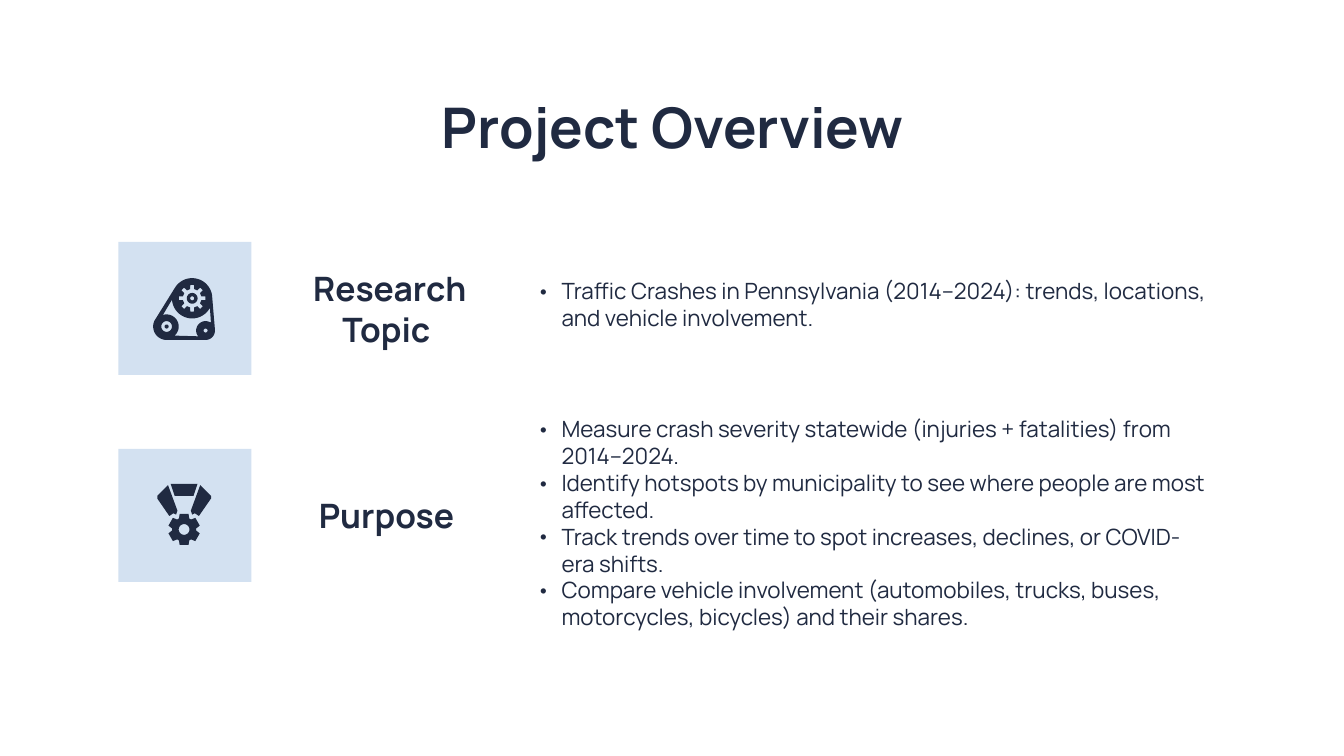
from dataclasses import dataclass
from math import cos, radians, sin

from lxml.etree import SubElement
from pptx import Presentation
from pptx.dml.color import RGBColor
from pptx.enum.shapes import MSO_SHAPE
from pptx.enum.text import MSO_ANCHOR, PP_ALIGN
from pptx.oxml.ns import qn
from pptx.util import Inches, Pt


@dataclass(frozen=True)
class Theme:
    font: str = "Manrope"
    ink: RGBColor = RGBColor(0x20, 0x2A, 0x41)
    tile: RGBColor = RGBColor(0xD3, 0xE1, 0xF1)
    title_size: int = 30
    heading_size: int = 18
    body_size: int = 12


def arc(x, y, radius, start=0, end=360, steps=32):
    angles = [radians(start + (end - start) * i / steps) for i in range(steps + 1)]
    return [(x + radius * cos(a), y + radius * sin(a)) for a in angles]


def gear(x, y, outer, root, teeth, tip_angle, root_angle):
    points = []
    for tooth in range(teeth):
        middle = 360 * tooth / teeth - 90
        for radius, offset in ((root, -root_angle), (outer, -tip_angle),
                               (outer, tip_angle), (root, root_angle)):
            angle = radians(middle + offset)
            points.append((x + radius * cos(angle), y + radius * sin(angle)))
    return points


class SlideWriter:
    def __init__(self, page, theme):
        self.page = page
        self.theme = theme

    def paint(self, shape, color):
        shape.shadow.inherit = False
        shape.fill.solid()
        shape.fill.fore_color.rgb = color
        shape.line.fill.background()

    def tile(self, left, top, size):
        shape = self.page.shapes.add_shape(
            MSO_SHAPE.RECTANGLE, Inches(left), Inches(top), Inches(size), Inches(size))
        self.paint(shape, self.theme.tile)

    def text(self, lines, left, top, width, height, size,
             bold=False, anchor=MSO_ANCHOR.MIDDLE, bullets=False):
        box = self.page.shapes.add_textbox(
            Inches(left), Inches(top), Inches(width), Inches(height))
        frame = box.text_frame
        frame.word_wrap = True
        frame.vertical_anchor = anchor
        frame.margin_left = frame.margin_right = Inches(0.1)
        frame.margin_top = frame.margin_bottom = Inches(0.1)
        frame.text = "\n".join(lines)
        for para in frame.paragraphs:
            if bullets:
                self.bullet(para)
            para.alignment = PP_ALIGN.LEFT if bullets else PP_ALIGN.CENTER
            para.font.name = self.theme.font
            para.font.size = Pt(size)
            para.font.bold = bold
            para.font.color.rgb = self.theme.ink

    def bullet(self, para):
        properties = para._p.get_or_add_pPr()
        properties.set("marL", str(Inches(0.19)))
        properties.set("indent", str(-Inches(0.19)))
        color = SubElement(properties, qn("a:buClr"))
        SubElement(color, qn("a:srgbClr")).set("val", str(self.theme.ink))
        SubElement(properties, qn("a:buFont")).set("typeface", self.theme.font)
        SubElement(properties, qn("a:buChar")).set("char", "•")

    def icon(self, parts):
        group = self.page.shapes.add_group_shape()
        for contours in parts:
            outlines = [[(Inches(x), Inches(y)) for x, y in contour] for contour in contours]
            builder = group.shapes.build_freeform(*outlines[0][0])
            builder.add_line_segments(outlines[0][1:], close=True)
            for outline in outlines[1:]:
                builder.move_to(*outline[0])
                builder.add_line_segments(outline[1:], close=True)
            self.paint(builder.convert_to_shape(), self.theme.ink)


def belt_icon():
    top, left, right = (1.43, 2.22), (1.24, 2.43), (1.53, 2.46)
    belt = arc(*top, 0.15, 212, 352) + arc(*right, 0.07, -5, 90) + arc(*left, 0.1, 90, 205)
    gap = (arc(*top, 0.15, 176, 28) + [(1.57, 2.4)]
           + arc(*right, 0.07, -75, -218) + arc(*left, 0.09, 49, -108))
    body = [belt, gap, gear(*top, 0.1, 0.07, 8, 8, 12), arc(*left, 0.04), arc(*right, 0.015)]
    return [body, [arc(*top, 0.04), arc(*top, 0.015)], [arc(*left, 0.015)]]


def medal_icon():
    middle = 1.37
    ribbon = [(1.25, 3.61), (1.17, 3.69), (1.17, 3.71), (1.26, 3.84), (1.29, 3.82),
              (1.31, 3.83), (1.32, 3.8)]
    mirrored = [(2 * middle - x, y) for x, y in ribbon]
    bar = [(1.27, 3.6), (1.3, 3.69), (1.44, 3.69), (1.47, 3.6)]
    wheel = [gear(middle, 3.94, 0.12, 0.09, 6, 16, 25), arc(middle, 3.94, 0.04)]
    return [[ribbon], [mirrored], [bar], wheel]


def main():
    deck = Presentation()
    deck.slide_width = Inches(10)
    deck.slide_height = Inches(10 * 9 / 16)
    theme = Theme()
    writer = SlideWriter(deck.slides.add_slide(deck.slide_layouts[6]), theme)

    writer.text(["Project Overview"], 0.79, 0.59, 8.43, 0.63, theme.title_size,
                bold=True, anchor=MSO_ANCHOR.TOP)

    topic = ["Traffic Crashes in Pennsylvania (2014–2024): trends, locations, "
             "and vehicle involvement."]
    purposes = [
        "Measure crash severity statewide (injuries + fatalities) from 2014–2024.",
        "Identify hotspots by municipality to see where people are most affected.",
        "Track trends over time to spot increases, declines, or COVID-era shifts.",
        "Compare vehicle involvement (automobiles, trucks, buses, motorcycles, "
        "bicycles) and their shares.",
    ]
    rows = [
        (1.8, " Research Topic", topic, 1.77, 0.99, belt_icon()),
        (3.34, "Purpose", purposes, 2.97, 1.84, medal_icon()),
    ]
    for top, heading, points, body_top, body_height, icon in rows:
        writer.tile(0.88, top, 0.99)
        writer.icon(icon)
        writer.text([heading], 2.03, top, 1.69, 0.99, theme.heading_size, bold=True)
        writer.text(points, 3.89, body_top, 5.24, body_height, theme.body_size, bullets=True)

    deck.save("out.pptx")


if __name__ == "__main__":
    main()
